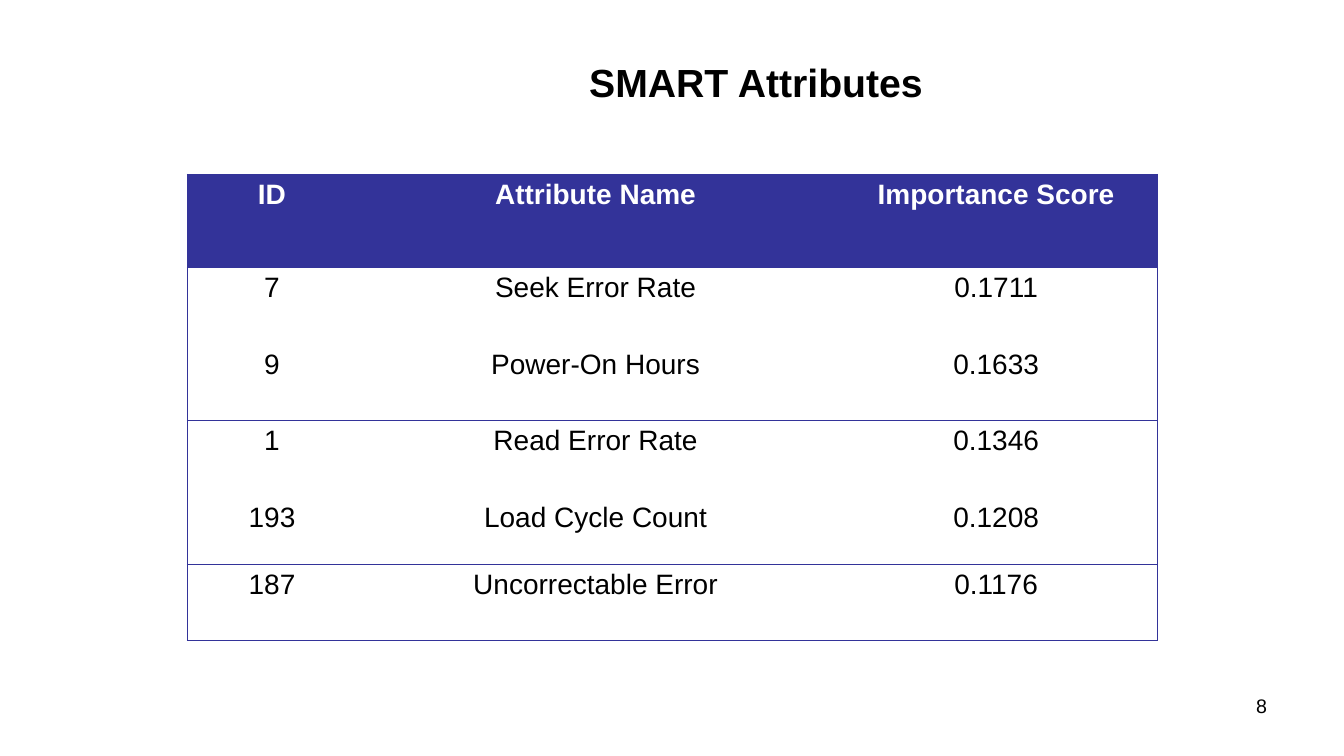
from lxml import etree
from pptx import Presentation
from pptx.dml.color import RGBColor
from pptx.enum.text import MSO_ANCHOR, PP_ALIGN
from pptx.oxml.ns import qn
from pptx.util import Cm, Pt

CENTER, RIGHT = PP_ALIGN.CENTER, PP_ALIGN.RIGHT
MIDDLE, TOP = MSO_ANCHOR.MIDDLE, MSO_ANCHOR.TOP

HEADING = "SMART Attributes"
ATTRIBUTES = [
    ("ID", "Attribute Name", "Importance Score"),
    ("7", "Seek Error Rate", "0.1711"),
    ("9", "Power-On Hours", "0.1633"),
    ("1", "Read Error Rate", "0.1346"),
    ("193", "Load Cycle Count", "0.1208"),
    ("187", "Uncorrectable Error", "0.1176"),
]
PAGE = "8"

INDIGO, BLACK, WHITE = "333399", "000000", "FFFFFF"
COLUMN_WIDTHS = (4.27, 12.04, 8.15)
ROW_HEIGHTS = (2.34, 1.93, 1.93, 1.93, 1.7, 1.93)
RULED_EDGES = {0, 1, 3, 5, 6}


def color(value):
    return RGBColor.from_string(value)


def write(frame, text, size, ink, align, bold=False):
    paragraph = frame.paragraphs[0]
    paragraph.alignment = align
    run = paragraph.add_run()
    run.text = text
    run.font.name = "Arial"
    run.font.size = Pt(size)
    run.font.bold = bold
    run.font.color.rgb = color(ink)
    return paragraph


def set_borders(cell, visible):
    properties = cell._tc.get_or_add_tcPr()
    for side in "LRTB":
        line = etree.SubElement(properties, qn(f"a:ln{side}"), w=str(Pt(0.75)))
        if side in visible:
            fill = etree.SubElement(line, qn("a:solidFill"))
            etree.SubElement(fill, qn("a:srgbClr"), val=INDIGO)
        else:
            etree.SubElement(line, qn("a:noFill"))


def add_heading(slide):
    heading = slide.shapes.title
    heading.left, heading.top = Cm(5.36), Cm(1.07)
    heading.width, heading.height = Cm(27.38), Cm(2.11)
    heading.text_frame.vertical_anchor = MIDDLE
    write(heading.text_frame, HEADING, 28, BLACK, CENTER, True).line_spacing = 0.9


def add_attributes(slide):
    table = slide.shapes.add_table(
        len(ATTRIBUTES), len(COLUMN_WIDTHS), Cm(4.72), Cm(4.39),
        Cm(sum(COLUMN_WIDTHS)), Cm(sum(ROW_HEIGHTS))).table
    table.horz_banding = False
    for column, width in zip(table.columns, COLUMN_WIDTHS):
        column.width = Cm(width)
    for row, height in zip(table.rows, ROW_HEIGHTS):
        row.height = Cm(height)

    for r, attribute in enumerate(ATTRIBUTES):
        is_header = r == 0
        for c, value in enumerate(attribute):
            cell = table.cell(r, c)
            edges = {
                "L": c == 0,
                "R": c == len(attribute) - 1,
                "T": r in RULED_EDGES,
                "B": r + 1 in RULED_EDGES,
            }
            set_borders(cell, [side for side, ruled in edges.items() if ruled])
            if is_header:
                cell.fill.solid()
                cell.fill.fore_color.rgb = color(INDIGO)
            else:
                cell.fill.background()
            cell.vertical_anchor = TOP
            write(cell.text_frame, value, 20, WHITE if is_header else BLACK,
                  CENTER, is_header)


def add_page_number(slide):
    page = slide.shapes.add_textbox(Cm(24.28), Cm(17.35), Cm(7.9), Cm(1.32))
    page.text_frame.word_wrap = True
    write(page.text_frame, PAGE, 14, BLACK, RIGHT)


def main():
    deck = Presentation()
    deck.slide_width, deck.slide_height = Cm(33.87), Cm(19.05)
    slide = deck.slides.add_slide(deck.slide_layouts[5])
    add_heading(slide)
    add_attributes(slide)
    add_page_number(slide)
    deck.save("out.pptx")


if __name__ == "__main__":
    main()
